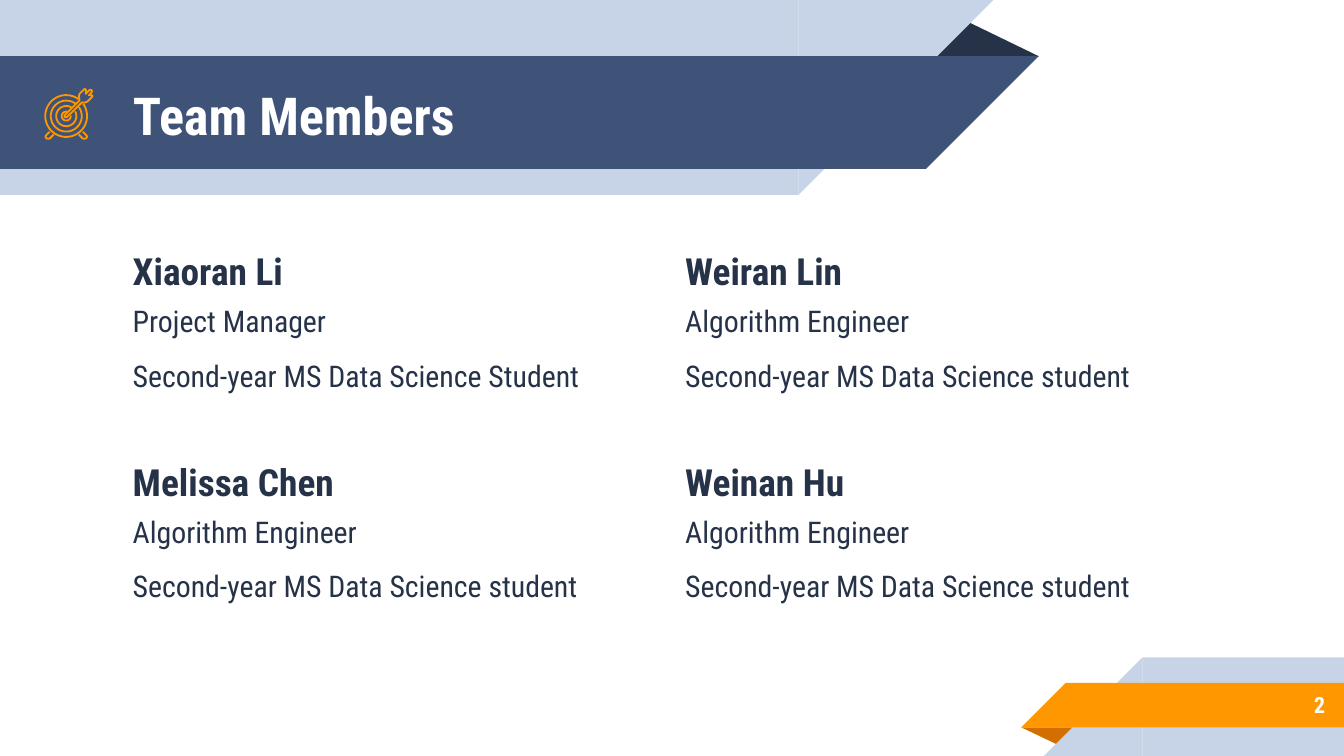
import math
from pptx import Presentation
from pptx.dml.color import RGBColor
from pptx.enum import shapes, text
from pptx.util import Pt

FONT = "Roboto Condensed"
COLORS = {"navy": "263248", "blue": "3F5378", "pale": "C7D3E6",
          "orange": "FF9800", "rust": "D26F00", "white": "FFFFFF"}
RECT = shapes.MSO_SHAPE.RECTANGLE
WEDGE = shapes.MSO_SHAPE.RIGHT_TRIANGLE
FOLD = shapes.MSO_SHAPE.ISOSCELES_TRIANGLE
HUB = (35.5, 62.2)
RINGS = [(11.2, -54, -36), (8.3, -54, -36), (5.4, -58, -28), (2.4, -75, -5)]
FOOT = [(26.6, 70.6), (25, 72.2), (24.4, 73), (24.5, 73.7), (25, 74.2),
        (25.8, 74.4), (26.7, 74.2), (28.8, 72.1)]
ARROW = [(49.2, 51.1), (47.6, 51.1), (49.2, 49.4), (49.3, 48.7),
         (48.8, 48.1), (48, 48.2), (46, 50.3), (46.1, 48.2), (45.4, 47.6),
         (42.6, 50.4), (42.3, 51.5), (42.6, 53.8), (34.5, 61.9),
         (34.6, 62.8), (35.8, 62.8), (43.9, 54.9), (45.5, 55),
         (46.8, 54.5), (49.3, 52), (49.6, 51.5)]
TEAM = [
    (64, 126, 271, "Xiaoran Li", "Project Manager", "Second-year MS Data Science Student"),
    (360, 126, 284, "Weiran Lin", "Algorithm Engineer", "Second-year MS Data Science student"),
    (64, 239, 284, "Melissa Chen", "Algorithm Engineer", "Second-year MS Data Science student"),
    (360, 239, 284, "Weinan Hu", "Algorithm Engineer", "Second-year MS Data Science student"),
]


def rgb(name):
    return RGBColor.from_string(COLORS[name])


def add_block(slide, kind, box, color, turn=0, flip=False):
    block = slide.shapes.add_shape(kind, *map(Pt, box))
    block.shadow.inherit = False
    block.fill.solid()
    block.fill.fore_color.rgb = rgb(color)
    block.line.fill.background()
    block.rotation = turn
    if flip:
        block._element.spPr.xfrm.set("flipH", "1")
    if kind == FOLD:
        block.adjustments[0] = 0.324


def add_head(slide, top, width, high, color):
    add_block(slide, RECT, (0, top, width, high), color, 180, True)
    add_block(slide, WEDGE, (width, top, high, high), color, 180, True)


def add_foot(slide, left, top, high, color):
    add_block(slide, RECT, (left, top, 720 - left, high), color)
    add_block(slide, WEDGE, (left - high, top, high, high), color, flip=True)


def add_path(slide, points, close=False):
    spots = [(Pt(x), Pt(y)) for x, y in points]
    pen = slide.shapes.build_freeform(*spots[0], scale=1.0)
    pen.add_line_segments(spots[1:], close=close)
    path = pen.convert_to_shape()
    path.shadow.inherit = False
    path.fill.background()
    path.line.color.rgb = rgb("orange")
    path.line.width = Pt(0.96)


def add_target(slide):
    for size, start, end in RINGS:
        turns = [math.radians(end + (start + 360 - end) * i / 60) for i in range(61)]
        add_path(slide, [(HUB[0] + size * math.cos(a), HUB[1] + size * math.sin(a))
                         for a in turns])
    add_path(slide, FOOT)
    add_path(slide, [(2 * HUB[0] - x, y) for x, y in FOOT])
    add_path(slide, ARROW, True)


def set_frame(frame, anchor):
    frame.word_wrap = True
    frame.auto_size = text.MSO_AUTO_SIZE.NONE
    frame.vertical_anchor = anchor
    frame.margin_left = frame.margin_right = Pt(7.2)
    frame.margin_top = frame.margin_bottom = Pt(7.2)


def add_run(para, words, size, color, bold=False):
    run = para.add_run()
    run.text = words
    run.font.name = FONT
    run.font.size = Pt(size)
    run.font.bold = bold
    run.font.color.rgb = rgb(color)


def add_title(slide, words):
    title = slide.shapes.title
    title.left, title.top, title.width, title.height = map(Pt, (64, 31, 414, 60.5))
    set_frame(title.text_frame, text.MSO_ANCHOR.MIDDLE)
    para = title.text_frame.paragraphs[0]
    para.alignment = text.PP_ALIGN.LEFT
    add_run(para, words, 28, "white", True)
    slide.shapes._spTree.append(title._element)


def add_box(slide, box, anchor):
    frame = slide.shapes.add_textbox(*map(Pt, box)).text_frame
    set_frame(frame, anchor)
    return frame


def add_member(slide, left, top, width, name, role, study):
    frame = add_box(slide, (left, top, width, 119.5), text.MSO_ANCHOR.TOP)
    add_run(frame.paragraphs[0], name, 20, "navy", True)
    for words, gap in ((role, 5), (study, 10)):
        para = frame.add_paragraph()
        para.space_before = Pt(gap)
        add_run(para, words, 16, "navy")


def add_number(slide, words):
    frame = add_box(slide, (600, 365, 117, 25.2), text.MSO_ANCHOR.MIDDLE)
    para = frame.paragraphs[0]
    para.alignment = text.PP_ALIGN.RIGHT
    add_run(para, words, 12, "white", True)


def main():
    deck = Presentation()
    deck.slide_width, deck.slide_height = Pt(720), Pt(405)
    slide = deck.slides.add_slide(deck.slide_layouts[5])
    add_block(slide, FOLD, (495.4, 10.1, 61.2, 20.1), "navy")
    add_head(slide, 0, 427.7, 104.4, "pale")
    add_head(slide, 30, 496.1, 60.5, "blue")
    add_block(slide, FOLD, (547.2, 389.7, 31, 10), "rust", 180)
    add_foot(slide, 612, 352.2, 52.8, "pale")
    add_foot(slide, 571, 365.8, 23.9, "orange")
    add_title(slide, "Team Members")
    add_number(slide, "2")
    add_target(slide)
    for member in TEAM:
        add_member(slide, *member)
    deck.save("out.pptx")


if __name__ == "__main__":
    main()
